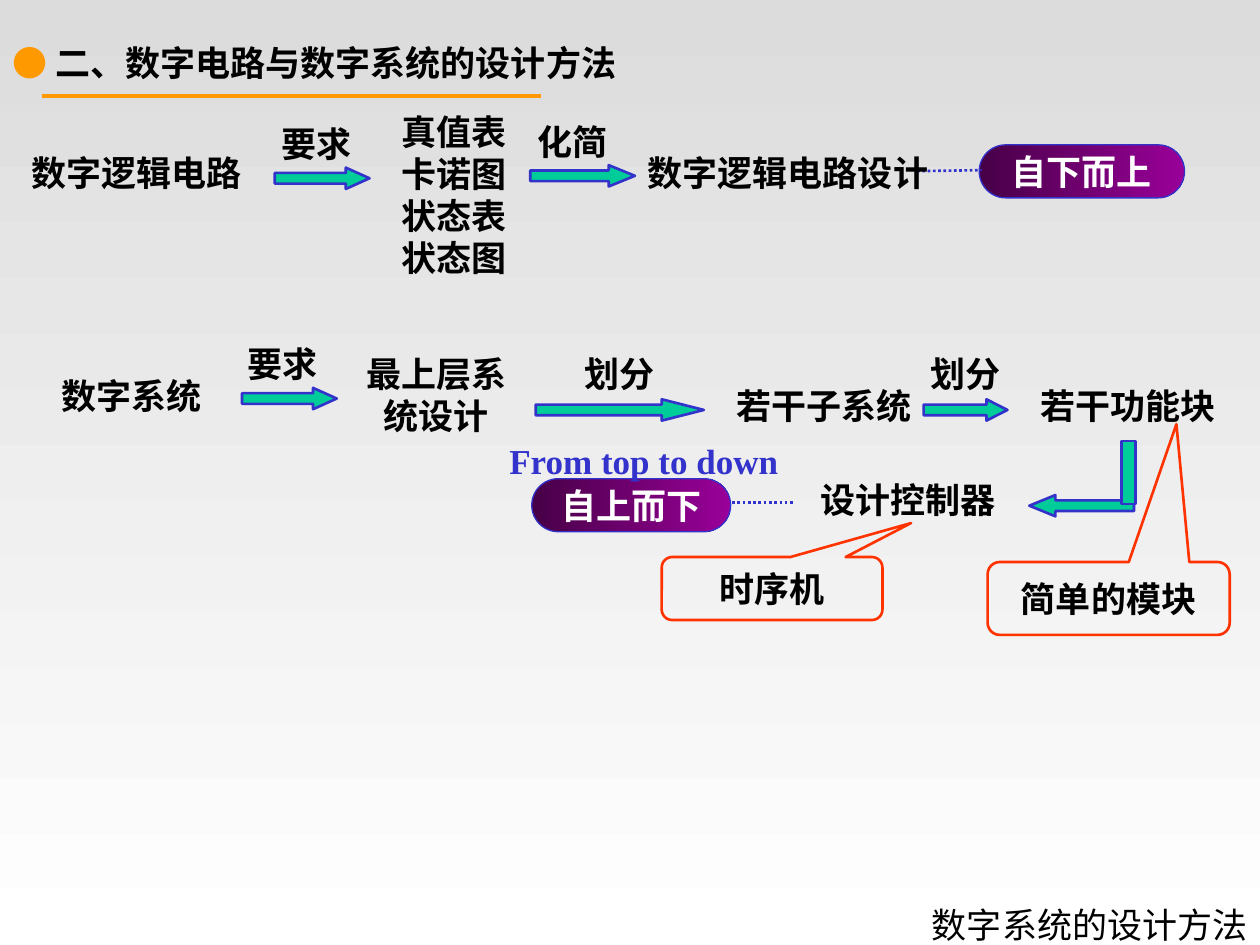
from dataclasses import dataclass

from lxml.etree import SubElement
from pptx import Presentation
from pptx.dml.color import RGBColor
from pptx.enum.dml import MSO_LINE
from pptx.enum.shapes import MSO_CONNECTOR, MSO_SHAPE
from pptx.enum.text import MSO_ANCHOR as Anchor, PP_ALIGN as Align
from pptx.oxml.ns import qn
from pptx.util import Cm, Pt


@dataclass(frozen=True)
class Theme:
    font: str = "Times New Roman"
    size: float = 20
    text: str = "000000"
    light: str = "FFFFFF"
    heading: str = "FF9900"
    accent: str = "3333CC"
    arrow: str = "00CC99"
    callout: str = "FF3300"
    page: tuple[str, str] = ("DCDCDC", "FFFFFF")
    pill: tuple[str, str] = ("470047", "990099")
    thin: float = 0.75
    medium: float = 1.5
    thick: float = 2.25


@dataclass(frozen=True)
class Label:
    text: str
    left: float
    top: float
    width: float
    height: float = 1.12
    color: str = Theme.text


@dataclass(frozen=True)
class Arrow:
    left: float
    top: float
    width: float
    kind: MSO_SHAPE = MSO_SHAPE.RIGHT_ARROW


@dataclass(frozen=True)
class Pill:
    text: str
    left: float
    top: float
    width: float
    lead: tuple[float, float, float, float]


@dataclass(frozen=True)
class Callout:
    text: str
    left: float
    top: float
    width: float
    height: float
    tip: tuple[float, float]


THEME = Theme()
ARROW_HEIGHT = 0.43
PILL_HEIGHT = 1.07

LABELS = [
    Label("数字逻辑电路", 0, 2.92, 5.51),
    Label("要求", 5.33, 2.34, 2.11),
    Label("真值表卡诺图状态表状态图", 7.67, 2.11, 2.97, 3.66),
    Label("化简", 10.49, 2.31, 2.11),
    Label("数字逻辑电路设计", 12.29, 2.92, 7.19),
    Label("数字系统", 0.64, 7.42, 4.01),
    Label("要求", 4.65, 6.78, 2.11),
    Label("最上层系统设计", 6.99, 6.99, 3.61, 1.96),
    Label("划分", 10.8, 6.99, 3.38),
    Label("若干子系统", 14.17, 7.62, 4.88),
    Label("划分", 17.78, 6.99, 3.38),
    Label("若干功能块", 20.52, 7.62, 4.45),
    Label("设计控制器", 16.08, 9.53, 4.45),
    Label("From top to down", 9.7, 8.74, 6.56, color=THEME.accent),
]
ARROWS = [
    Arrow(5.54, 3.38, 1.91),
    Arrow(10.69, 3.33, 2.11),
    Arrow(4.88, 7.82, 1.91),
    Arrow(10.8, 8.05, 3.39),
    Arrow(18.62, 8.05, 1.69),
    Arrow(20.75, 9.98, 2.11, MSO_SHAPE.LEFT_ARROW),
]
PILLS = [
    Pill("自下而上", 19.74, 2.92, 4.14, (18.49, 3.45, 19.79, 3.43)),
    Pill("自上而下", 10.72, 9.65, 4.01, (14.76, 10.13, 16.03, 10.13)),
]
CALLOUTS = [
    Callout("时序机", 13.34, 11.23, 4.45, 1.27, (0.63, -1.04)),
    Callout("简单的模块", 19.91, 11.33, 4.88, 1.47, (0.28, -2.39)),
]


def rgb(value: str) -> RGBColor:
    return RGBColor.from_string(value)


def set_gradient(fill, colors: tuple[str, str], angle: float) -> None:
    fill.gradient()
    fill.gradient_angle = angle
    for stop, color in zip(fill.gradient_stops, colors):
        stop.color.rgb = rgb(color)


def set_line(line, color: str, width: float) -> None:
    line.color.rgb = rgb(color)
    line.width = Pt(width)


def add_run(p, text: str, color: str = THEME.text, bold: bool = True) -> None:
    r = p.add_run()
    r.text = text
    r.font.name = THEME.font
    r.font.size = Pt(THEME.size)
    r.font.bold = bold
    r.font.color.rgb = rgb(color)


def add_paragraph_box(s, left: float, top: float, width: float, height: float, align: Align):
    """Add a wrapping text box and return its frame and first paragraph."""
    tf = s.shapes.add_textbox(Cm(left), Cm(top), Cm(width), Cm(height)).text_frame
    tf.word_wrap = True
    p = tf.paragraphs[0]
    p.alignment = align
    return tf, p


def add_label(s, label: Label) -> None:
    _, p = add_paragraph_box(s, label.left, label.top, label.width, label.height, Align.CENTER)
    add_run(p, label.text, label.color)


def add_shape(s, kind: MSO_SHAPE, left: float, top: float, width: float, height: float,
              line: str, line_width: float):
    sp = s.shapes.add_shape(kind, Cm(left), Cm(top), Cm(width), Cm(height))
    sp.shadow.inherit = False
    set_line(sp.line, line, line_width)
    return sp


def add_centred_text(sp, text: str, color: str) -> None:
    tf = sp.text_frame
    tf.vertical_anchor = Anchor.MIDDLE
    p = tf.paragraphs[0]
    p.alignment = Align.CENTER
    add_run(p, text, color)


def add_line(s, x1: float, y1: float, x2: float, y2: float, color: str, width: float):
    cx = s.shapes.add_connector(MSO_CONNECTOR.STRAIGHT, Cm(x1), Cm(y1), Cm(x2), Cm(y2))
    set_line(cx.line, color, width)
    SubElement(cx._element.spPr, qn("a:effectLst"))
    return cx


def add_block(s, kind: MSO_SHAPE, left: float, top: float, width: float, height: float):
    sp = add_shape(s, kind, left, top, width, height, THEME.accent, THEME.medium)
    sp.fill.solid()
    sp.fill.fore_color.rgb = rgb(THEME.arrow)
    return sp


def add_arrow(s, arrow: Arrow) -> None:
    """Add a block arrow whose head takes a quarter of its length."""
    sp = add_block(s, arrow.kind, arrow.left, arrow.top, arrow.width, ARROW_HEIGHT)
    sp.adjustments[1] = arrow.width / 4 / ARROW_HEIGHT


def add_pill(s, pill: Pill) -> None:
    sp = add_shape(s, MSO_SHAPE.ROUNDED_RECTANGLE, pill.left, pill.top, pill.width,
                   PILL_HEIGHT, THEME.accent, THEME.thin)
    sp.adjustments[0] = 0.5
    set_gradient(sp.fill, THEME.pill, 0)
    tf = sp.text_frame
    tf.word_wrap = False
    tf.margin_left = tf.margin_right = tf.margin_top = tf.margin_bottom = 0
    add_centred_text(sp, pill.text, THEME.light)
    lead = add_line(s, *pill.lead, THEME.accent, THEME.medium)
    lead.line.dash_style = MSO_LINE.ROUND_DOT


def add_callout(s, callout: Callout) -> None:
    sp = add_shape(s, MSO_SHAPE.ROUNDED_RECTANGULAR_CALLOUT, callout.left, callout.top,
                   callout.width, callout.height, THEME.callout, THEME.medium)
    sp.fill.background()
    sp.adjustments[0], sp.adjustments[1] = callout.tip
    add_centred_text(sp, callout.text, THEME.text)


def add_titles(s) -> None:
    tf, p = add_paragraph_box(s, 17.58, 18.21, 7.82, 0.84, Align.RIGHT)
    tf.vertical_anchor = Anchor.MIDDLE
    add_run(p, "数字系统的设计方法", bold=False)
    _, p = add_paragraph_box(s, 0, 0.71, 15.09, 1.12, Align.LEFT)
    add_run(p, "● ", THEME.heading, bold=False)
    add_run(p, "二、数字电路与数字系统的设计方法")
    add_line(s, 0.84, 1.93, 10.9, 1.93, THEME.heading, THEME.thick)


def main() -> None:
    prs = Presentation()
    prs.slide_width, prs.slide_height = Cm(25.4), Cm(19.05)
    s = prs.slides.add_slide(prs.slide_layouts[6])
    set_gradient(s.background.fill, THEME.page, 270)
    add_titles(s)
    for draw, items in ((add_arrow, ARROWS), (add_pill, PILLS),
                        (add_label, LABELS), (add_callout, CALLOUTS)):
        for item in items:
            draw(s, item)
    add_block(s, MSO_SHAPE.RECTANGLE, 22.61, 8.89, 0.28, 1.27)
    prs.save("out.pptx")


if __name__ == "__main__":
    main()
